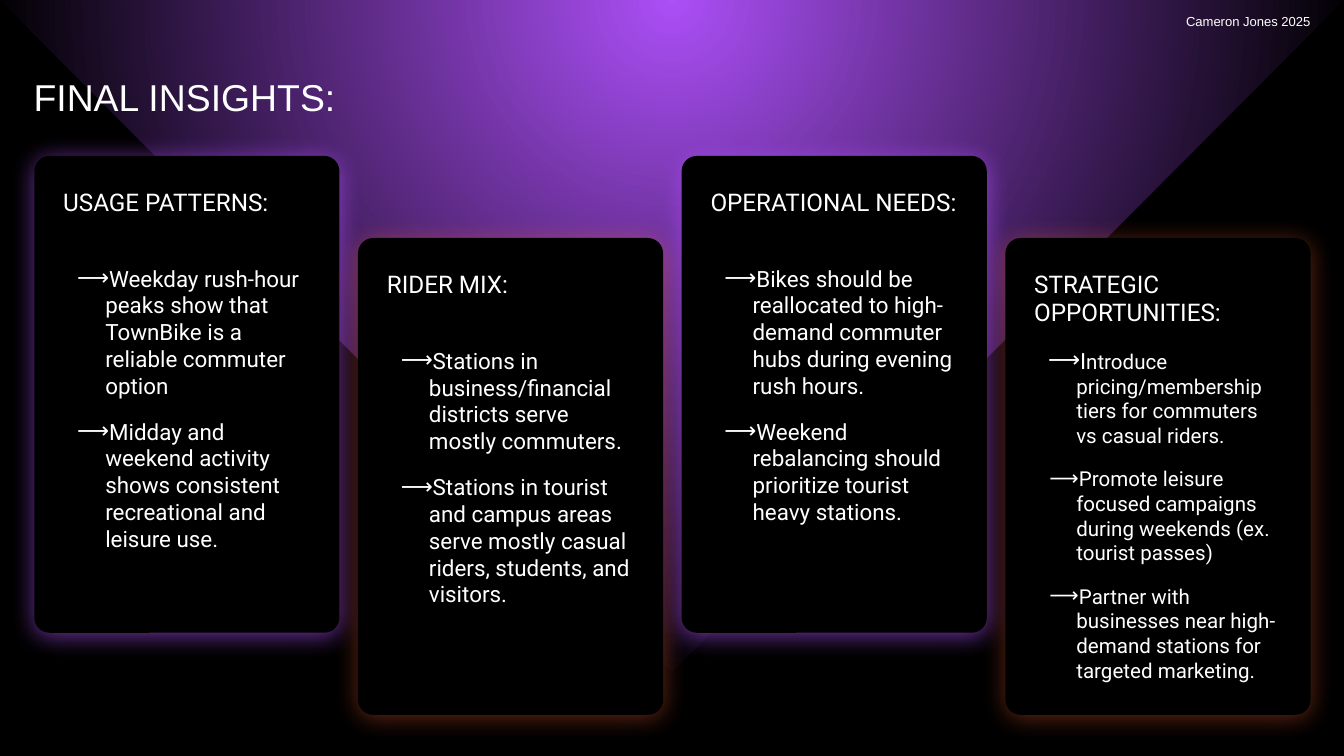
from lxml.etree import SubElement
from pptx import Presentation
from pptx.dml.color import RGBColor
from pptx.enum.shapes import MSO_SHAPE
from pptx.enum.text import MSO_ANCHOR, MSO_AUTO_SIZE, PP_ALIGN
from pptx.oxml import parse_xml
from pptx.oxml.ns import nsdecls, qn
from pptx.util import Pt

COLORS = {"black": "000000", "white": "FFFFFF", "purple": "AB4FF6", "orange": "FF6234"}
FRAME = {"margin_left": 0, "margin_top": 0, "margin_right": 0, "margin_bottom": 0,
         "word_wrap": True, "auto_size": MSO_AUTO_SIZE.NONE}


def place_text(shape, box, paragraphs, font_name, anchor=MSO_ANCHOR.TOP, **paragraph_format):
    """Position a shape and fill it; each paragraph is a list of (text, size) runs."""
    shape.left, shape.top, shape.width, shape.height = (Pt(value) for value in box)
    frame = shape.text_frame
    for name, value in {**FRAME, "vertical_anchor": anchor}.items():
        setattr(frame, name, value)
    values = {"alignment": PP_ALIGN.LEFT, "line_spacing": 1.0, "space_before": Pt(0),
              "space_after": Pt(0), **paragraph_format}
    for number, runs in enumerate(paragraphs):
        paragraph = frame.add_paragraph() if number else frame.paragraphs[0]
        for name, value in values.items():
            setattr(paragraph, name, value)
        for text, size in runs:
            run = paragraph.add_run()
            run.text = text
            for name, value in {"name": font_name, "size": Pt(size), "bold": False}.items():
                setattr(run.font, name, value)
            run.font.color.rgb = RGBColor.from_string(COLORS["white"])


def add_panel(kind, box, position):
    """Add a black shape without outline behind the text."""
    shape = slide.shapes.add_shape(kind, *(Pt(value) for value in box))
    shape.shadow.inherit = False
    shape.fill.solid()
    shape.fill.fore_color.rgb = RGBColor.from_string(COLORS["black"])
    shape.line.fill.background()
    slide.shapes.element.insert(2 + position, shape.element)
    return shape


presentation = Presentation()
presentation.slide_width, presentation.slide_height = Pt(720), Pt(405)
slide = presentation.slides.add_slide(presentation.slide_layouts[4])
slide.background.fill.solid()
slide.background.fill.fore_color.rgb = RGBColor.from_string(COLORS["black"])

# Purple spotlight
spotlight = add_panel(MSO_SHAPE.RIGHT_TRIANGLE, (105.4, -254.5, 509.2, 509.2), 0)
spotlight.rotation = 315
stops = "".join(
    f'<a:gs pos="{percent * 1000}"><a:srgbClr val="{COLORS[color]}"/></a:gs>'
    for percent, color in ((0, "purple"), (72, "black"), (100, "black")))
gradient = parse_xml(
    f'<a:gradFill {nsdecls("a")} rotWithShape="1"><a:gsLst>{stops}</a:gsLst>'
    '<a:path path="circle"><a:fillToRect l="50000" t="50000" r="50000" b="50000"/></a:path>'
    '</a:gradFill>')
properties = spotlight.element.spPr
properties.replace(properties.find(qn("a:solidFill")), gradient)

# Title and credit
place_text(slide.shapes.title, (18, 36, 327.6, 36.7), [[("FINAL INSIGHTS:", 20)]], "Arial",
           line_spacing=1.15)
credit = slide.shapes.add_textbox(0, 0, 0, 0)
place_text(credit, (505.4, 4.3, 196.6, 13.7), [[("Cameron Jones 2025", 7)]], "Arial",
           MSO_ANCHOR.MIDDLE, alignment=PP_ALIGN.RIGHT)

# Cards: heading and list of runs
cards = [
    ("USAGE PATTERNS:", [
        [("Weekday rush-hour peaks show that TownBike is a reliable commuter option", 12)],
        [("Midday and weekend activity shows consistent recreational and leisure use.", 12)]]),
    ("RIDER MIX:", [
        [("Stations in business/financial districts serve mostly commuters.", 12)],
        [("Stations in tourist and campus areas serve mostly casual riders, students, "
          "and visitors.", 12)]]),
    ("OPERATIONAL NEEDS:", [
        [("Bikes should be reallocated to high-demand commuter hubs during evening "
          "rush hours.", 12)],
        [("Weekend rebalancing should prioritize tourist heavy stations.", 12)]]),
    ("STRATEGIC OPPORTUNITIES:", [
        [("I", 12), ("ntroduce pricing/membership tiers for commuters vs casual riders.", 11)],
        [("Promote leisure focused campaigns during weekends (ex. tourist passes)", 11)],
        [("Partner with businesses near high-demand stations for targeted marketing.", 11)]]),
]
glows = [("purple", 65), ("orange", 40)]
list_placeholders = [shape for shape in slide.placeholders
                     if 1 <= shape.placeholder_format.idx <= 4]

for index, (heading, items) in enumerate(cards):
    left = 18.4 + 173.4 * index
    top = 83.5 + 44 * (index % 2)

    # Glowing card
    card = add_panel(MSO_SHAPE.ROUNDED_RECTANGLE, (left, top, 163.5, 255.5), index + 1)
    card.adjustments[0] = 0.05
    color, opacity = glows[index % 2]
    effects = card.element.spPr.find(qn("a:effectLst"))
    shadow = SubElement(effects, qn("a:outerShdw"), blurRad=str(Pt(13.5)), dist=str(Pt(1.5)),
                        dir="5400000", algn="bl", rotWithShape="0")
    shade = SubElement(shadow, qn("a:srgbClr"), val=COLORS[color])
    SubElement(shade, qn("a:alpha"), val=str(opacity * 1000))

    # Heading
    heading_box = slide.shapes.add_textbox(0, 0, 0, 0)
    place_text(heading_box, (left + 15.5, top + 18, 132.5, 33.8), [[(heading, 13)]], "Roboto",
               line_spacing=0.95)

    # List with arrow bullets
    body = list_placeholders[index]
    place_text(body, (left + 15.5, top + 58.3, 132.5, 56.2), items, "Roboto")
    for number, paragraph in enumerate(body.text_frame.paragraphs):
        paragraph.space_before = Pt(10 if number else 0)
        layout = paragraph._p.get_or_add_pPr()
        layout.set("marL", str(Pt(22.5)))
        layout.set("indent", str(Pt(-14.4 if paragraph.runs[0].font.size == Pt(11) else -15.1)))
        bullet_color = SubElement(layout, qn("a:buClr"))
        SubElement(bullet_color, qn("a:srgbClr"), val=COLORS["white"])
        SubElement(layout, qn("a:buFont"), typeface="Roboto")
        SubElement(layout, qn("a:buChar"), char="⟶")

presentation.save("out.pptx")
